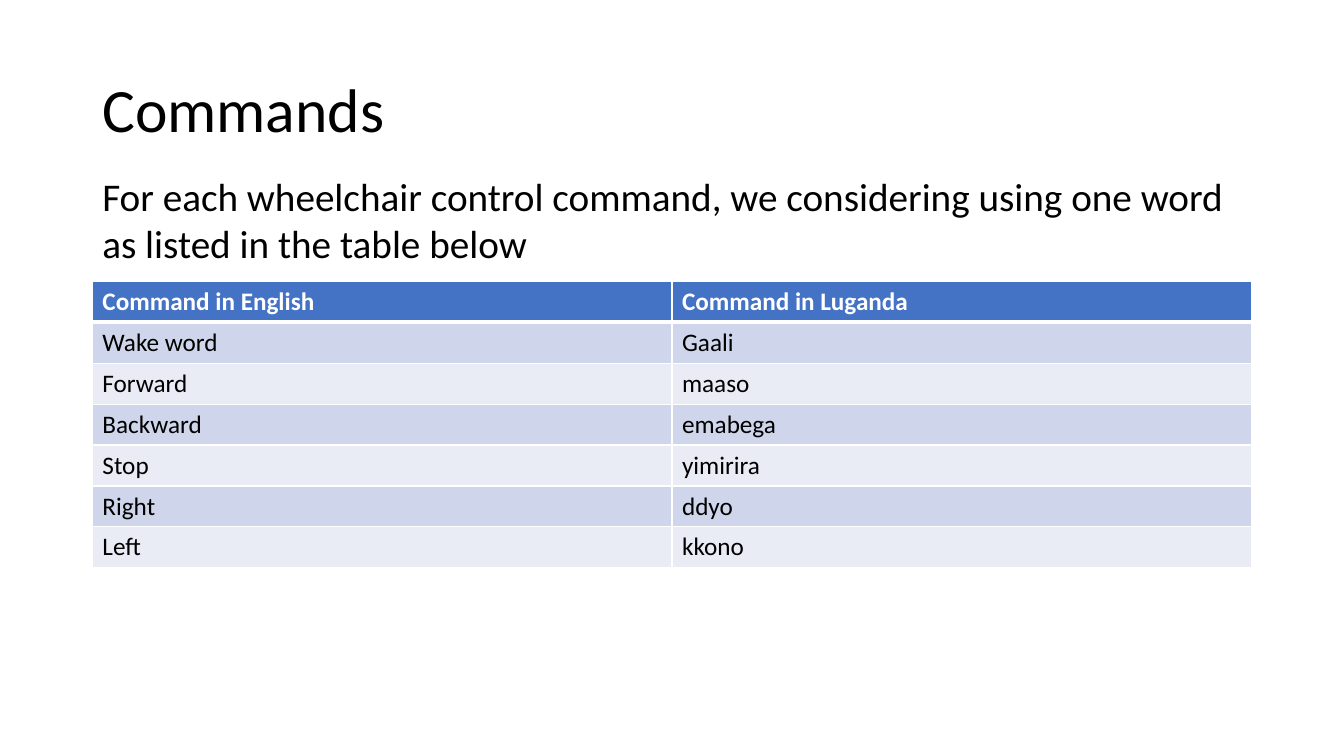
import pptx
import pptx.dml.color
import pptx.enum.text
import pptx.oxml
import pptx.oxml.ns
import pptx.util

EMU_PER_PX = 9525
FONT = "Calibri"
BLACK, WHITE = "000000", "FFFFFF"
HEADER_FILL = "4472C4"
BAND_FILLS = ("E9EBF5", "CFD5EA")
COMMANDS = [
    ("Command in English", "Command in Luganda"),
    ("Wake word", "Gaali"),
    ("Forward", "maaso"),
    ("Backward", "emabega"),
    ("Stop", "yimirira"),
    ("Right", "ddyo"),
    ("Left", "kkono"),
]


def px(length):
    return pptx.util.Emu(length * EMU_PER_PX)


def color(hex_string):
    return pptx.dml.color.RGBColor.from_string(hex_string)


def format_text(text_frame, size, hex_color, bold=False):
    for paragraph in text_frame.paragraphs:
        for run in paragraph.runs:
            run.font.name = FONT
            run.font.size = pptx.util.Pt(size)
            run.font.bold = bold
            run.font.color.rgb = color(hex_color)


def add_text(slide, box, text, size, anchor, line_spacing=1.0):
    shape = slide.shapes.add_textbox(*map(px, box))
    text_frame = shape.text_frame
    text_frame.word_wrap = True
    text_frame.vertical_anchor = anchor
    text_frame.text = text
    text_frame.paragraphs[0].line_spacing = line_spacing
    format_text(text_frame, size, BLACK)


def add_border(cell, side, points):
    line = pptx.oxml.parse_xml(
        f'<a:ln{side} {pptx.oxml.ns.nsdecls("a")} w="{pptx.util.Pt(points)}">'
        f'<a:solidFill><a:srgbClr val="{WHITE}"/></a:solidFill></a:ln{side}>'
    )
    cell._tc.get_or_add_tcPr().append(line)


def add_command_table(slide, box):
    row_count, column_count = len(COMMANDS), len(COMMANDS[0])
    table = slide.shapes.add_table(row_count, column_count, *map(px, box)).table
    for row_index, words in enumerate(COMMANDS):
        is_header = row_index == 0
        # The header is set off from the body by a thicker rule.
        widths = {"L": 1, "R": 1, "T": 3 if row_index == 1 else 1, "B": 3 if is_header else 1}
        for column_index, word in enumerate(words):
            cell = table.cell(row_index, column_index)
            cell.text = word
            format_text(cell.text_frame, 18, WHITE if is_header else BLACK, is_header)
            for side, points in widths.items():
                add_border(cell, side, points)
            cell.fill.solid()
            cell.fill.fore_color.rgb = color(HEADER_FILL if is_header else BAND_FILLS[row_index % 2])


def build_commands_slide(presentation):
    slide = presentation.slides.add_slide(presentation.slide_layouts[6])
    left, width, row_height = 88, 1104, 39
    anchors = pptx.enum.text.MSO_ANCHOR
    add_text(slide, (left, 38, width, 139), "Commands", 44, anchors.MIDDLE, 0.9)
    add_command_table(slide, (left, 268, width, row_height * len(COMMANDS)))
    add_text(
        slide,
        (left, 159, width, 100),
        "For each wheelchair control command, we considering using one word "
        "as listed in the table below",
        28,
        anchors.TOP,
    )


def main():
    presentation = pptx.Presentation()
    presentation.slide_width, presentation.slide_height = px(1280), px(720)
    build_commands_slide(presentation)
    presentation.save("out.pptx")


if __name__ == "__main__":
    main()
